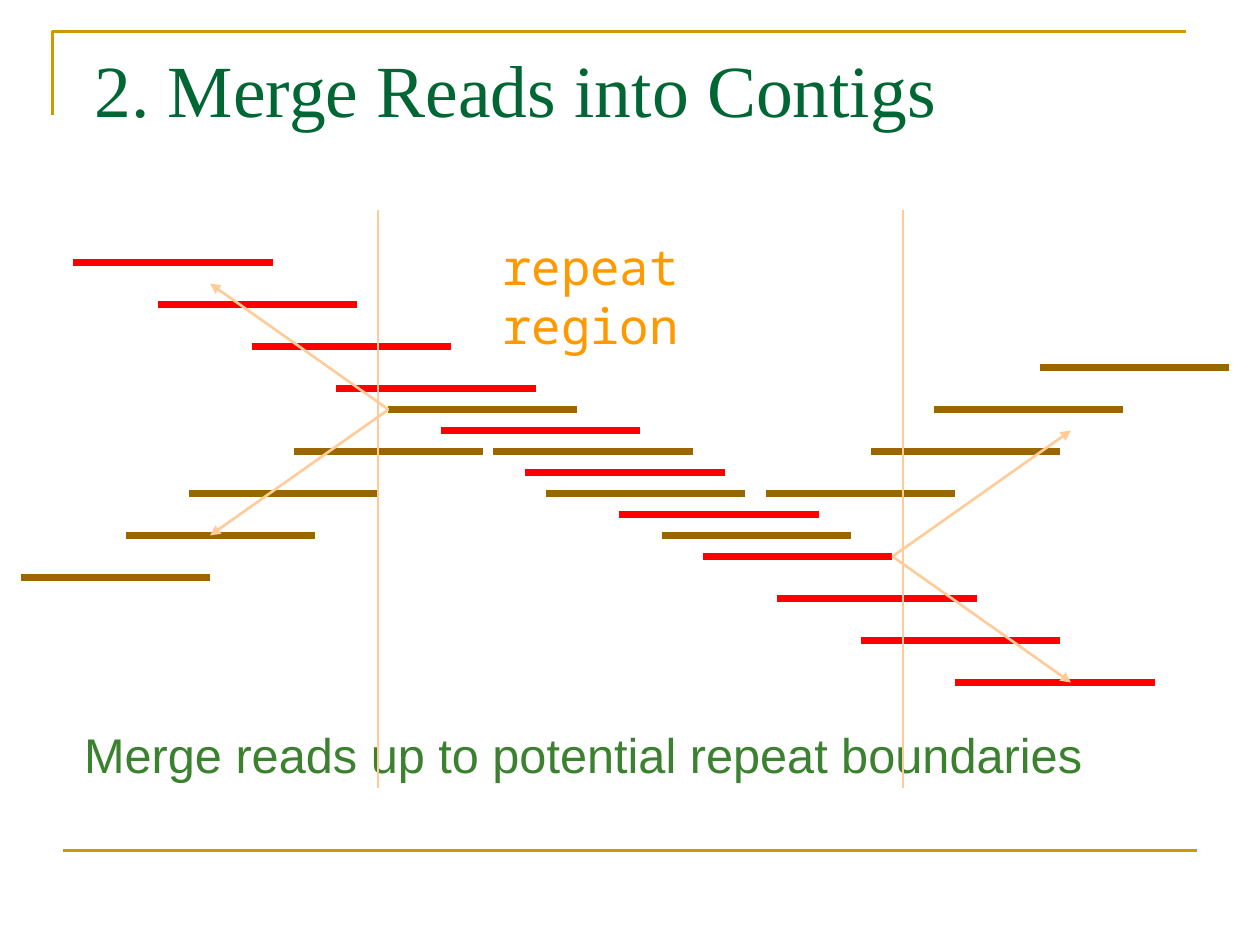
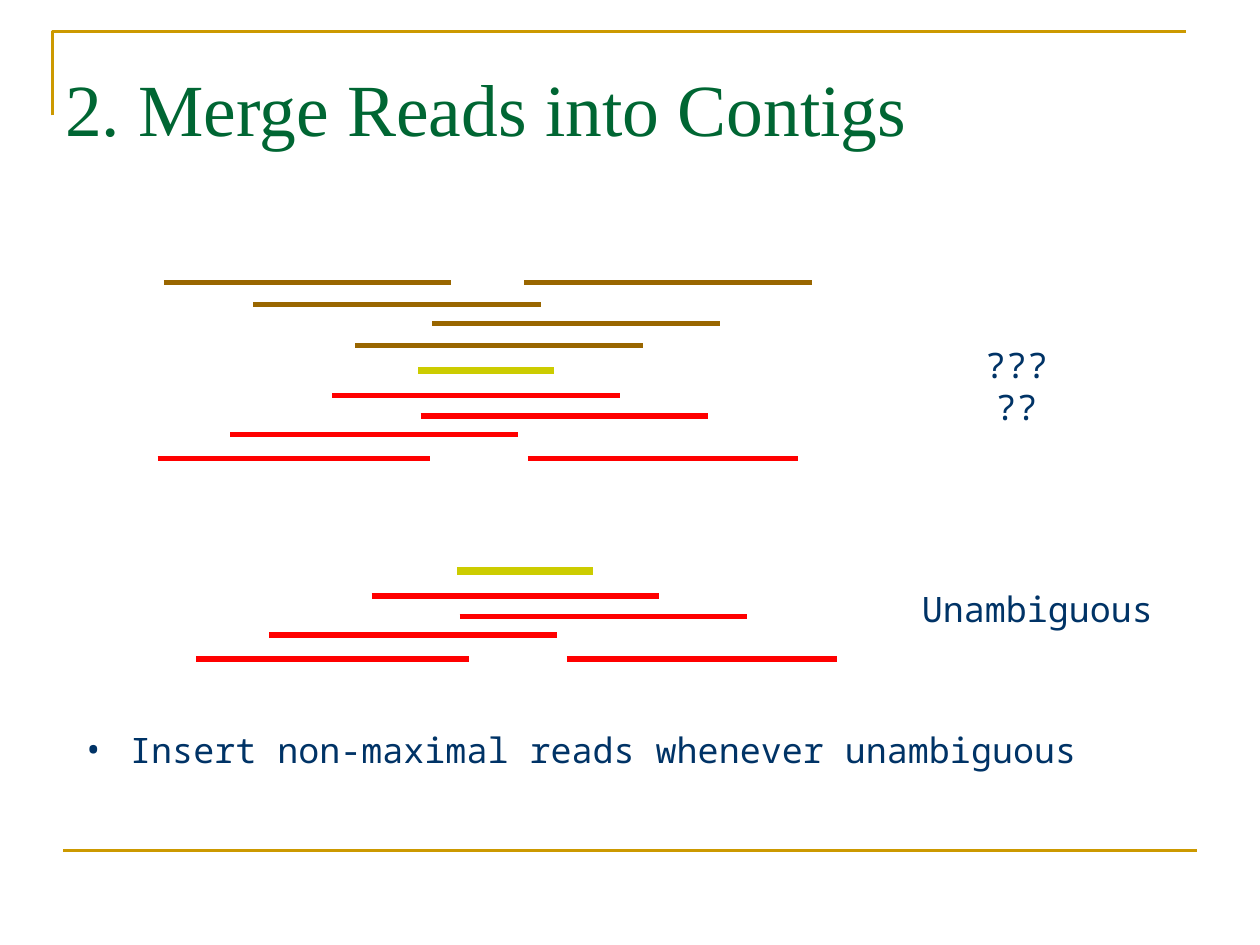
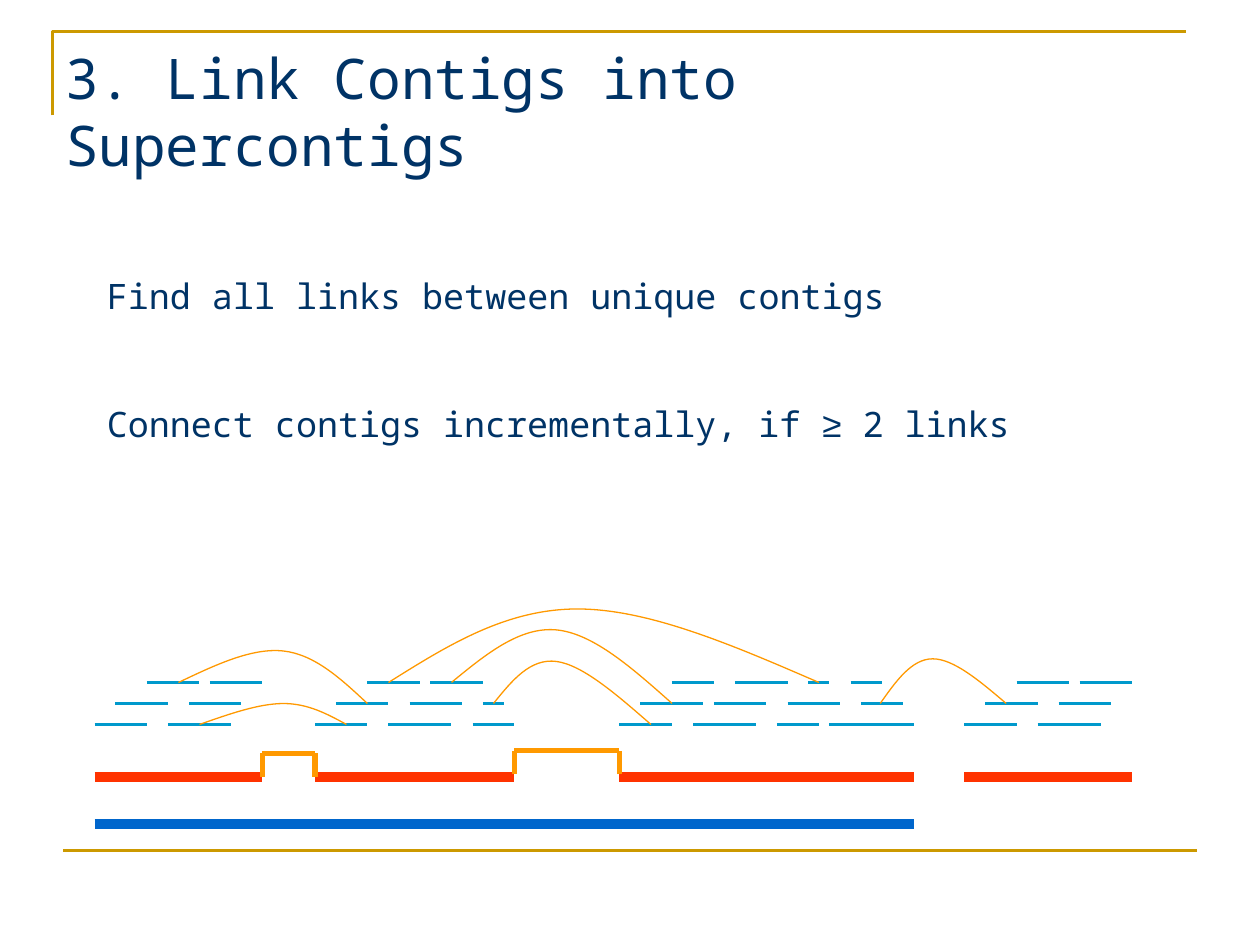
import itertools

import pptx
import pptx.dml.color
import pptx.enum.shapes
import pptx.enum.text
import pptx.oxml
import pptx.oxml.ns
import pptx.util

Pt = pptx.util.Pt
RGBColor = pptx.dml.color.RGBColor
ANCHOR = pptx.enum.text.MSO_ANCHOR
ALIGN = pptx.enum.text.PP_ALIGN
DRAWING_NS = pptx.oxml.ns.nsdecls("a")

GOLD = RGBColor(0xCC, 0x99, 0x00)
GREEN = RGBColor(0x00, 0x66, 0x33)
LEAF = RGBColor(0x3B, 0x81, 0x2F)
NAVY = RGBColor(0x00, 0x33, 0x66)
RED = RGBColor(0xFF, 0x00, 0x00)
BROWN = RGBColor(0x99, 0x66, 0x00)
PEACH = RGBColor(0xFF, 0xCC, 0x99)
ORANGE = RGBColor(0xFF, 0x99, 0x00)
YELLOW = RGBColor(0xCC, 0xCC, 0x00)
TEAL = RGBColor(0x00, 0x99, 0xCC)
VERMILION = RGBColor(0xFF, 0x33, 0x00)
BLUE = RGBColor(0x00, 0x66, 0xCC)

SANS = "Arial"
MONO = "Noto Sans Mono"
MERGE_TITLE = "2. Merge Reads into Contigs"
MERGE_TITLE_FONT = ("Times New Roman", 42, GREEN)
BODY_FONT = (MONO, 20, NAVY)


def drawing_element(markup):
    return pptx.oxml.parse_xml(markup.replace("/>", f" {DRAWING_NS}/>"))


def add_line(slide, start, end, color, width, arrow=False):
    connector = slide.shapes.add_connector(
        pptx.enum.shapes.MSO_CONNECTOR.STRAIGHT, *(Pt(value) for value in (*start, *end)))
    connector.line.color.rgb = color
    connector.line.width = Pt(width)
    properties = connector.element.spPr
    if arrow:
        stroke = properties.find(pptx.oxml.ns.qn("a:ln"))
        stroke.append(drawing_element('<a:tailEnd type="triangle"/>'))
    properties.append(drawing_element("<a:effectLst/>"))
    return connector


def add_read(slide, left, y, length, color, width):
    add_line(slide, (left, y), (left + length, y), color, width)


def add_outline(slide, points, color, width):
    start, *rest = [(Pt(x), Pt(y)) for x, y in points]
    builder = slide.shapes.build_freeform(*start)
    builder.add_line_segments(rest, close=False)
    outline = builder.convert_to_shape()
    outline.fill.background()
    outline.line.color.rgb = color
    outline.line.width = Pt(width)
    outline.shadow.inherit = False
    return outline


def midpoint(first, second):
    return (first[0] + second[0]) / 2, (first[1] + second[1]) / 2


def add_link(slide, start, peak, end):
    slope_x, slope_y = (end[0] - start[0]) / 6, (end[1] - start[1]) / 6
    before_peak = peak[0] - slope_x, peak[1] - slope_y
    after_peak = peak[0] + slope_x, peak[1] + slope_y
    link = add_outline(slide, [start, midpoint(start, before_peak), before_peak, peak,
                               after_peak, midpoint(after_peak, end), end], ORANGE, 0.75)
    segments = list(link.element.iter(pptx.oxml.ns.qn("a:lnTo")))
    for half in (segments[:3], segments[3:]):
        bezier = drawing_element("<a:cubicBezTo/>")
        half[0].addprevious(bezier)
        for segment in half:
            bezier.append(segment[0])
            segment.getparent().remove(segment)


def style_font(font, name, size, color):
    font.name = name
    font.size = Pt(size)
    font.color.rgb = color


def add_title(slide, text, box, anchor, font):
    title = slide.shapes.title
    title.left, title.top, title.width, title.height = (Pt(value) for value in box)
    frame = title.text_frame
    frame.text = text
    frame.word_wrap = True
    frame.auto_size = pptx.enum.text.MSO_AUTO_SIZE.NONE
    frame.vertical_anchor = anchor
    frame.paragraphs[0].alignment = ALIGN.LEFT
    style_font(frame.paragraphs[0].font, *font)


def add_text(slide, text, box, font, align=ALIGN.LEFT):
    frame = slide.shapes.add_textbox(*(Pt(value) for value in box)).text_frame
    frame.word_wrap = True
    paragraph = frame.paragraphs[0]
    paragraph.alignment = align
    paragraph.text = text
    style_font(paragraph.font, *font)
    return paragraph


def add_bullet_text(slide, text, box, font, indent):
    paragraph = add_text(slide, "", box, font)
    properties = paragraph._p.get_or_add_pPr()
    properties.set("marL", str(Pt(indent)))
    properties.set("indent", str(-Pt(indent)))
    properties.insert(0, drawing_element(f'<a:buFont typeface="{font[0]}"/>'))
    properties.insert(1, drawing_element('<a:buChar char="•"/>'))
    paragraph.text = text


def add_shared_frame(slide):
    corner = add_outline(slide, [(30, 66), (30, 18), (678, 18)], GOLD, 1.5)
    footer_rule = add_line(slide, (36, 486), (684, 486), GOLD, 1.5)
    for part in (corner, footer_rule):
        slide.slide_layout.shapes.element.append(part.element)


def add_staircase(slide, lefts, lengths, top, step, color):
    for left, length, y in zip(lefts, lengths, itertools.count(top, step)):
        add_read(slide, left, y, length, color, 4.5)


def build_repeat_boundaries(slide):
    long, short, step = 114, 108, 24
    region_left, region_right = 216, 516
    all_short = itertools.repeat(short)

    add_title(slide, MERGE_TITLE, (46.8, 21.6, 560, 90), ANCHOR.TOP, MERGE_TITLE_FONT)
    add_text(slide, "Merge reads up to potential repeat boundaries",
             (41, 410.4, 618.5, 64), (SANS, 27.8, LEAF))

    add_staircase(slide, [42, 90, 144, 192, 252, 300, 354, 402, 444, 492, 546],
                  [long] * 7 + [short] + [long] * 3, 150, step, RED)
    add_staircase(slide, [222, 282, 312, 378], [short, long, long, short], 234, step, BROWN)
    add_staircase(slide, [438, 498, 534, 594], all_short, 282, -step, BROWN)
    add_staircase(slide, [168, 108, 72, 12], all_short, 258, step, BROWN)

    for fork_x, fork_y, tip_x in ((510, 318, 612), (222, 234, 120)):
        for rise in (-72, 72):
            add_line(slide, (fork_x, fork_y), (tip_x, fork_y + rise), PEACH, 1.5, arrow=True)
    for boundary in (region_left, region_right):
        add_line(slide, (boundary, 120), (boundary, 450), PEACH, 0.75)
    add_text(slide, "repeat region", (280, 131.8, 193.7, 41), (MONO, 28, ORANGE))


def add_read_stack(slide, left, top):
    read = 164.4
    bottom_row = 50.4
    for dx, dy, length in ((-149, bottom_row, 155.5), (-107.3, 36.7, read), (1.4, 26, read),
                           (-49, 14.4, read), (62.6, bottom_row, 154.5)):
        add_read(slide, left + dx, top + dy, length, RED, 3)
    add_read(slide, left, top, 77.4, YELLOW, 4.5)


def build_unambiguous_reads(slide):
    add_title(slide, MERGE_TITLE, (30, 18, 555, 72), ANCHOR.BOTTOM, MERGE_TITLE_FONT)

    competing_top = 161.3
    for left, y in ((93.6, competing_top), (144.7, 174.2), (247, 185), (203, 197.3),
                    (299.5, competing_top)):
        add_read(slide, left, y, 164.4, BROWN, 3)
    add_read_stack(slide, 239, 211.7)
    add_read_stack(slide, 261.3, 326.2)

    add_text(slide, "?????", (552.2, 193, 57.6, 31.7), BODY_FONT, ALIGN.CENTER)
    add_text(slide, "Unambiguous", (519, 332, 147.8, 31.7), BODY_FONT, ALIGN.CENTER)
    add_bullet_text(slide, "Insert non-maximal reads whenever unambiguous",
                    (40.3, 412.6, 630, 101.5), BODY_FONT, 27)


def add_contig(slide, left, length, rows, row_ys, contig_y):
    for y, reads in zip(row_ys, rows):
        for offset, read_length in reads:
            add_read(slide, left + offset, y, read_length, TEAL, 1.5)
    add_read(slide, left, contig_y, length, VERMILION, 6)


def add_bracket(slide, left, right, bottom):
    top = bottom - 13.5
    for x in (left, right):
        add_line(slide, (x, bottom), (x, top), ORANGE, 3)
    add_line(slide, (left, top), (right, top), ORANGE, 3)


def build_supercontigs(slide):
    add_title(slide, "3. Link Contigs into Supercontigs", (30, 18, 635.8, 90),
              ANCHOR.MIDDLE, (MONO, 32, NAVY))

    row_ys = upper, middle, lower = 390, 402, 414
    contig_y = 444
    first, second, third, unlinked = 54, 180, 354, 551
    short_length, second_length, third_length = 96, 114, 168

    upper_reads = [(30, 30), (66, 30)]
    middle_reads = [(12, 30), (54, 30)]
    lower_reads = [(0, 30), (42, 36)]
    longer_lower_reads = lower_reads + [(90, 24)]
    short_rows = upper_reads, middle_reads, lower_reads
    second_rows = upper_reads, middle_reads + [(96, 12)], longer_lower_reads
    third_rows = ([(30, 24), (66, 30), (108, 12), (132, 18)],
                  [(12, 36), (54, 30), (96, 30), (138, 24)],
                  longer_lower_reads + [(120, 48)])

    for left, length, rows in ((first, short_length, short_rows),
                               (second, second_length, second_rows),
                               (third, third_length, third_rows),
                               (unlinked, short_length, short_rows)):
        add_contig(slide, left, length, rows, row_ys, contig_y)

    for start, peak, end in (((258, upper), (318, 360), (384, middle)),
                             ((282, middle), (318, 378), (372, lower)),
                             ((222, upper), (330, 348), (468, upper)),
                             ((102, upper), (162, 372), (210, middle)),
                             ((114, lower), (162, 402), (198, lower)),
                             ((503, middle), (533, 376.5), (575, middle))):
        add_link(slide, start, peak, end)

    add_bracket(slide, first + short_length, second, contig_y)
    add_bracket(slide, second + second_length, third, contig_y - 1.5)
    add_read(slide, first, 471, third + third_length - first, BLUE, 6)

    find_step = add_text(slide, "Find all links between unique contigs",
                         (54, 156, 586.8, 52.6), BODY_FONT)
    connect_step = add_text(slide, "Connect contigs incrementally, if ",
                            (54, 229, 604.8, 52.6), BODY_FONT)
    for text, font_name in (("≥", SANS), (" 2 links", MONO)):
        run = connect_step.add_run()
        run.text = text
        run.font.name = font_name
    for step in (find_step, connect_step):
        step.line_spacing = 0.9


def main():
    deck = pptx.Presentation()
    deck.slide_width, deck.slide_height = Pt(720), Pt(540)
    title_only = deck.slide_layouts[5]
    builders = (build_repeat_boundaries, build_unambiguous_reads, build_supercontigs)
    slides = [deck.slides.add_slide(title_only) for _ in builders]
    add_shared_frame(slides[0])
    for build, slide in zip(builders, slides):
        build(slide)
    deck.save("out.pptx")


if __name__ == "__main__":
    main()
